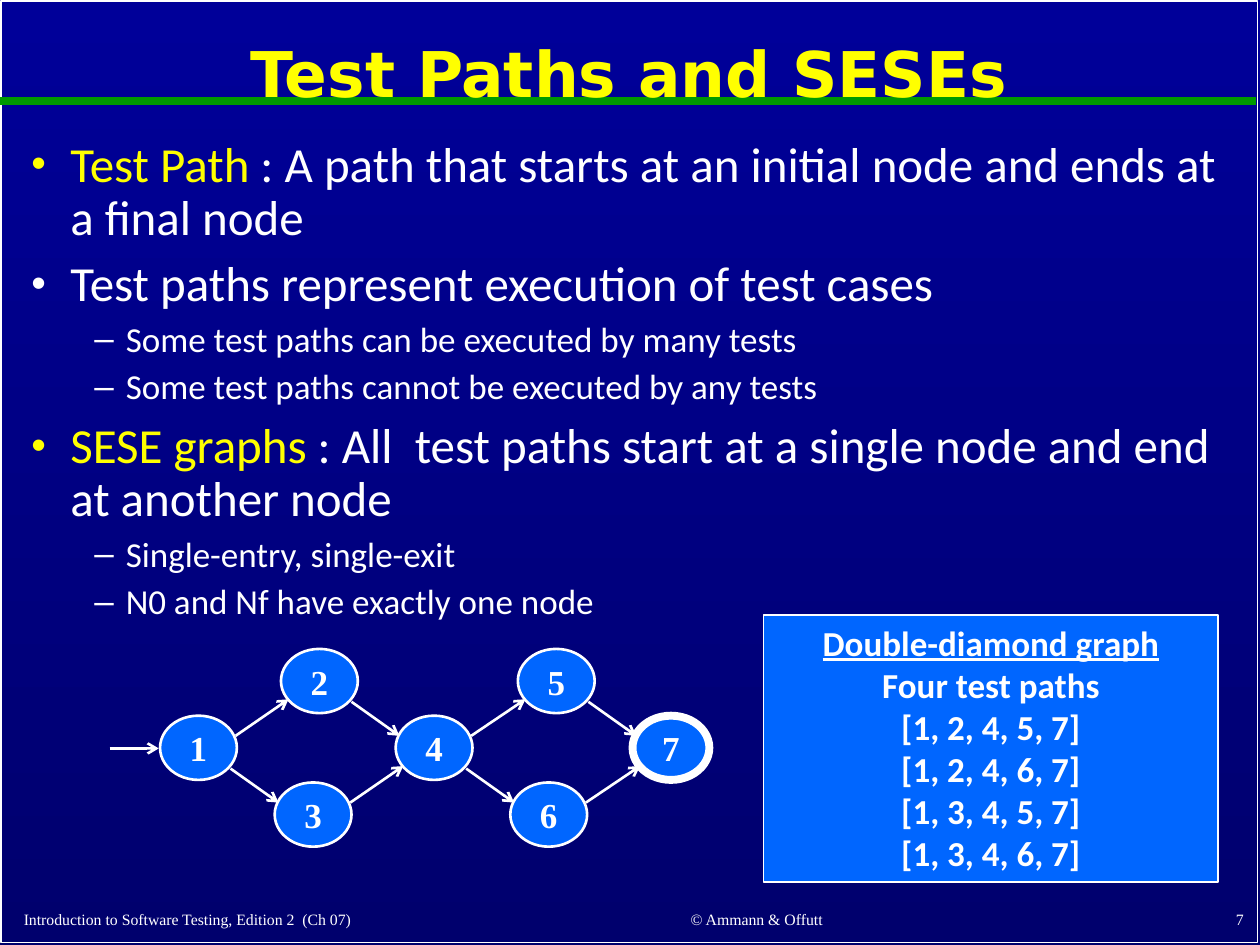
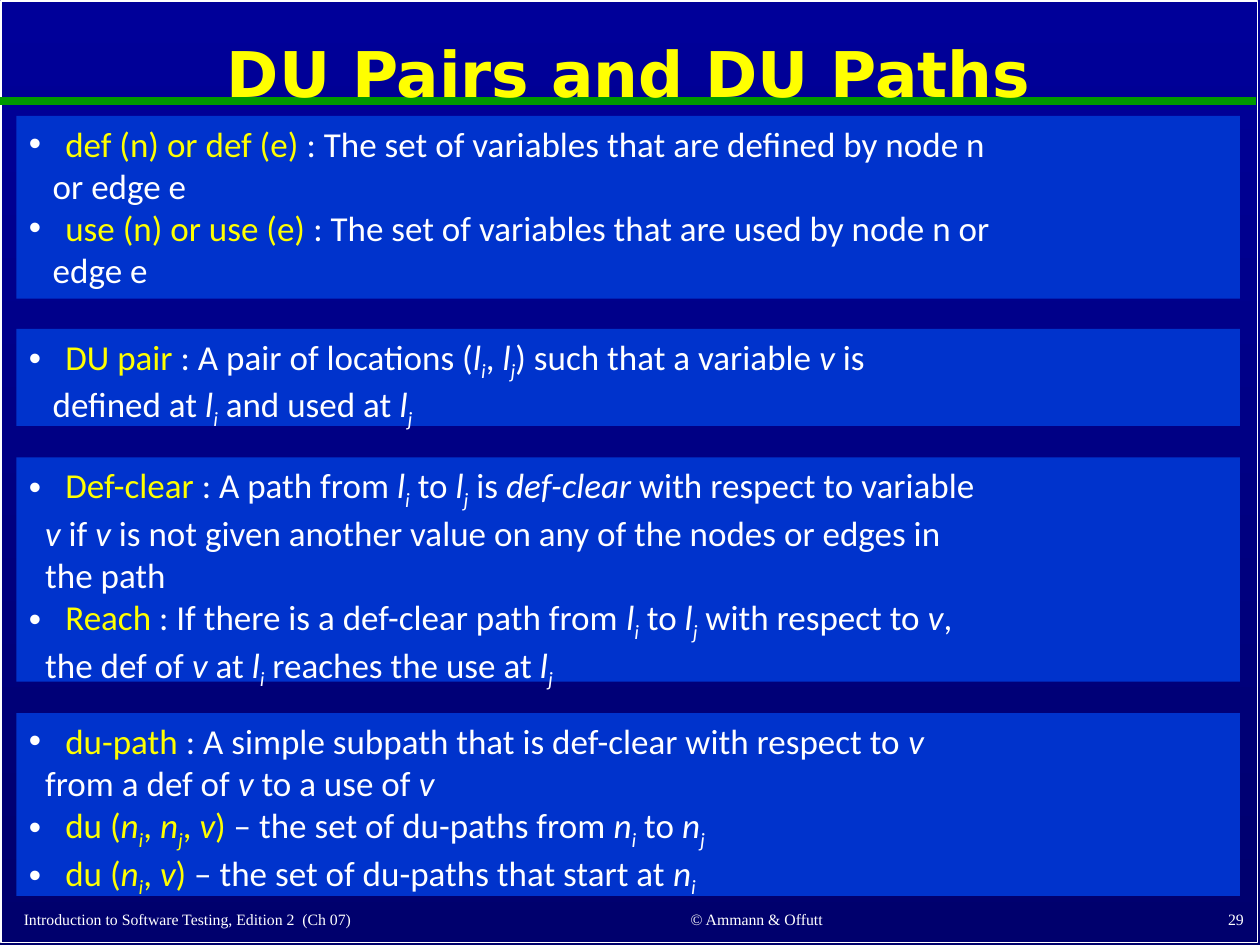
from dataclasses import dataclass, field
from typing import NamedTuple, Optional

import pptx
import pptx.dml.color
import pptx.enum.shapes
import pptx.enum.text
import pptx.oxml.ns
import pptx.oxml.xmlchemy
import pptx.util
from lxml import etree

RGBColor = pptx.dml.color.RGBColor
Shape = pptx.enum.shapes.MSO_SHAPE
Align = pptx.enum.text.PP_ALIGN
Anchor = pptx.enum.text.MSO_ANCHOR

# Scale and colours
EMU_PER_PX = 9144  # 100 px to the inch
WHITE = RGBColor(0xFF, 0xFF, 0xFF)
YELLOW = RGBColor(0xFF, 0xFF, 0x00)
GREEN = RGBColor(0x00, 0x99, 0x00)
NODE_BLUE = RGBColor(0x00, 0x66, 0xFF)
PANEL_BLUE = RGBColor(0x00, 0x33, 0xCC)
SKY_TOP = RGBColor(0x00, 0x00, 0x99)
SKY_BOTTOM = RGBColor(0x00, 0x00, 0x6D)


class Area(NamedTuple):
    left: int
    top: int
    width: int
    height: int


class Point(NamedTuple):
    x: int
    y: int


@dataclass(frozen=True)
class ParaStyle:
    font: dict
    color: RGBColor = WHITE
    format: dict = field(default_factory=dict)
    margin: int = 0
    bullet: str = ""
    bullet_size: int = 100
    bullet_color: Optional[RGBColor] = None


class Line(NamedTuple):
    text: str
    style: ParaStyle


class Panel(NamedTuple):
    top: int
    height: int
    lines: list[Line]


# Shared text styles
BODY_FONT = dict(name="Calibri", size=pptx.util.Pt(20))
TITLE = ParaStyle(dict(name="DejaVu Sans", size=pptx.util.Pt(36), bold=True), YELLOW,
                  dict(alignment=Align.CENTER, line_spacing=0.9))
FOOTER_FONT = dict(name="Times New Roman", size=pptx.util.Pt(9))
NODE = ParaStyle(dict(name="Times New Roman", size=pptx.util.Pt(20), bold=True),
                 format=dict(alignment=Align.CENTER))
POINT = ParaStyle(dict(name="Calibri", size=pptx.util.Pt(28)),
                  format=dict(line_spacing=0.9, space_before=pptx.util.Pt(8)),
                  margin=31, bullet="•", bullet_size=85)
SUBPOINT = ParaStyle(BODY_FONT,
                     format=dict(line_spacing=0.9, space_before=pptx.util.Pt(5.5)),
                     margin=75, bullet="–")
CALLOUT = ParaStyle(BODY_FONT | dict(bold=True), format=dict(alignment=Align.CENTER))
CALLOUT_HEAD = ParaStyle(CALLOUT.font | dict(underline=True), format=CALLOUT.format)
TERM = ParaStyle(BODY_FONT, margin=29, bullet="•", bullet_color=WHITE)
MORE_WIDE = ParaStyle(BODY_FONT, margin=19)
MORE = ParaStyle(BODY_FONT, margin=13)
HANG = {"•": None, "–": 25}  # None hangs by the whole margin

# Slide content; {x} is yellow, *x* italic, ~x~ subscript
PATHS_TITLE = "Test Paths and SESEs"
PATHS_BODY = [
    Line("{Test Path} : A path that starts at an initial node and ends at a final node", POINT),
    Line("Test paths represent execution of test cases", POINT),
    Line("Some test paths can be executed by many tests", SUBPOINT),
    Line("Some test paths cannot be executed by any tests", SUBPOINT),
    Line("{SESE graphs} : All  test paths start at a single node and end at another node", POINT),
    Line("Single-entry, single-exit", SUBPOINT),
    Line("N0 and Nf have exactly one node", SUBPOINT),
]
CALLOUT_LINES = [Line("Double-diamond graph", CALLOUT_HEAD)] + [
    Line(text, CALLOUT) for text in (
        "Four test paths", "[1, 2, 4, 5, 7]", "[1, 2, 4, 6, 7]",
        "[1, 3, 4, 5, 7]", "[1, 3, 4, 6, 7]")
]
NODES = {1: Point(127, 568), 2: Point(223, 515), 3: Point(218, 621), 4: Point(314, 568),
         5: Point(411, 515), 6: Point(405, 621), 7: Point(502, 568)}
EDGES = [(1, 2), (1, 3), (2, 4), (3, 4), (4, 5), (4, 6), (5, 7), (6, 7)]
FINAL_NODE = 7

DU_TITLE = "DU Pairs and DU Paths"
DU_PANELS = [
    Panel(92, 145, [
        Line("{def (n) or def (e) }: The set of variables that are defined by node n", TERM),
        Line("or edge e", MORE_WIDE),
        Line("{use (n) or use (e)} : The set of variables that are used by node n or", TERM),
        Line("edge e", MORE_WIDE),
    ]),
    Panel(261, 77, [
        Line("{DU pair} : A pair of locations (*l~i~*, *l~j~*) such that a variable *v* is", TERM),
        Line("defined at *l~i~* and used at *l~j~*", MORE_WIDE),
    ]),
    Panel(363, 178, [
        Line("{Def-clear} : A path from *l~i~* to *l~j~* is *def-clear* with respect to variable",
             TERM),
        Line("*v* if *v* is not given another value on any of the nodes or edges in", MORE),
        Line("the path", MORE),
        Line("{Reach} : If there is a def-clear path from *l~i~* to *l~j~* with respect to *v*,",
             TERM),
        Line("the def of *v* at *l~i~* reaches the use at *l~j~*", MORE),
    ]),
    Panel(566, 145, [
        Line("{du-path} : A simple subpath that is def-clear with respect to *v*", TERM),
        Line("from a def of *v* to a use of *v*", MORE),
        Line("{du (*n~i~*, *n~j~*, *v*)} – the set of du-paths from *n~i~* to *n~j~*", TERM),
        Line("{du (*n~i~*, *v*)} – the set of du-paths that start at *n~i~*", TERM),
    ]),
]


def px(length: int) -> int:
    return length * EMU_PER_PX


def set_all(target, values: dict) -> None:
    for name, value in values.items():
        setattr(target, name, value)


def add_child(parent, tag: str, **attributes: str):
    return etree.SubElement(parent, pptx.oxml.ns.qn(tag), attributes)


# Text
def add_span(para, text: str, style: ParaStyle, marks: set) -> None:
    span = para.add_run()
    span.text = text
    set_all(span.font, style.font)
    span.font.color.rgb = YELLOW if "{" in marks else style.color
    if "*" in marks:
        span.font.italic = True
    if "~" in marks:
        span._r.get_or_add_rPr().set("baseline", "-25000")


def add_marked_text(para, line: Line) -> None:
    marks: set = set()
    text = ""
    for letter in line.text:
        if letter not in "{}*~":
            text += letter
            continue
        if text:
            add_span(para, text, line.style, marks)
        text = ""
        marks ^= {"{" if letter == "}" else letter}
    if text:
        add_span(para, text, line.style, marks)


def format_para(para, style: ParaStyle) -> None:
    set_all(para, style.format)
    properties = para._p.get_or_add_pPr()
    hang = (HANG[style.bullet] or style.margin) if style.bullet else 0
    properties.set("marL", str(px(style.margin)))
    properties.set("indent", str(-px(hang)))
    if not style.bullet:
        add_child(properties, "a:buNone")
        return
    if style.bullet_color is not None:
        color = add_child(properties, "a:buClr")
        add_child(color, "a:srgbClr", val=str(style.bullet_color))
    add_child(properties, "a:buSzPct", val=str(style.bullet_size * 1000))
    add_child(properties, "a:buFont", typeface="Arial")
    add_child(properties, "a:buChar", char=style.bullet)


def write_lines(shape, lines: list[Line], anchor=Anchor.TOP) -> None:
    frame = shape.text_frame
    set_all(frame, dict(word_wrap=True, vertical_anchor=anchor))
    for number, line in enumerate(lines):
        para = frame.add_paragraph() if number else frame.paragraphs[0]
        para.alignment = Align.LEFT
        format_para(para, line.style)
        add_marked_text(para, line)


def add_text(page, area: Area, lines: list[Line], anchor=Anchor.TOP) -> None:
    box = page.shapes.add_textbox(*map(px, area))
    write_lines(box, lines, anchor)


# Shapes and lines
def add_box(page, kind, area: Area, fill: Optional[RGBColor], line_width: float = 0):
    box = page.shapes.add_shape(kind, *map(px, area))
    box.shadow.inherit = False
    if fill is None:
        box.fill.background()
    else:
        box.fill.solid()
        box.fill.fore_color.rgb = fill
    if line_width:
        box.line.color.rgb = WHITE
        box.line.width = pptx.util.Pt(line_width)
    else:
        box.line.fill.background()
    return box


def add_line(page, start: Point, end: Point, color: RGBColor, width: float, arrow: bool) -> None:
    line = page.shapes.add_connector(
        pptx.enum.shapes.MSO_CONNECTOR.STRAIGHT, *map(px, start + end))
    line.line.color.rgb = color
    line.line.width = pptx.util.Pt(width)
    if arrow:
        add_child(line.line._get_or_add_ln(), "a:tailEnd", type="arrow")
    add_child(line._element.spPr, "a:effectLst")


# Frame shared by the slides
def add_page(deck, title: str, number: int):
    page = deck.slides.add_slide(deck.slide_layouts[6])
    fill = page.background.fill
    fill.gradient()
    fill.gradient_angle = 270
    for stop, color in zip(fill.gradient_stops, (SKY_TOP, SKY_BOTTOM)):
        stop.color.rgb = color
    add_box(page, Shape.RECTANGLE, Area(1, 1, 997, 747), None, 1)
    add_line(page, Point(0, 80), Point(997, 80), GREEN, 4.5, False)
    add_text(page, Area(9, 11, 980, 100), [Line(title, TITLE)], Anchor.MIDDLE)
    footers = [
        (Area(9, 712, 412, 30), Align.LEFT, "Introduction to Software Testing, Edition 2  (Ch 07)"),
        (Area(442, 711, 317, 31), Align.CENTER, "© Ammann & Offutt"),
        (Area(789, 710, 208, 32), Align.RIGHT, str(number)),
    ]
    for area, alignment, text in footers:
        style = ParaStyle(FOOTER_FONT, format=dict(alignment=alignment))
        add_text(page, area, [Line(text, style)], Anchor.BOTTOM)
    return page


# Double-diamond graph
def add_graph(page) -> None:
    for number, corner in NODES.items():
        width = 4.5 if number == FINAL_NODE else 1.5
        node = add_box(page, Shape.OVAL, Area(*corner, 61, 51), NODE_BLUE, width)
        set_all(node.text_frame, dict.fromkeys(
            ("margin_left", "margin_right", "margin_top", "margin_bottom"), 0))
        write_lines(node, [Line(str(number), NODE)], Anchor.MIDDLE)
    add_line(page, Point(87, 594), Point(126, 594), WHITE, 1.5, True)
    for source, target in EDGES:
        tail, head = NODES[source], NODES[target]
        if head.y < tail.y:
            start, end = Point(tail.x + 60, tail.y + 16), Point(head.x + 6, head.y + 40)
        else:
            start, end = Point(tail.x + 56, tail.y + 42), Point(head.x + 3, head.y + 16)
        add_line(page, start, end, WHITE, 1.5, True)


def main() -> None:
    deck = pptx.Presentation()
    set_all(deck, dict(slide_width=px(1000), slide_height=px(750)))

    # Test paths
    page = add_page(deck, PATHS_TITLE, 7)
    add_text(page, Area(15, 106, 970, 579), PATHS_BODY)
    add_graph(page)
    callout = add_box(page, Shape.RECTANGLE, Area(606, 488, 361, 212), NODE_BLUE, 1)
    write_lines(callout, CALLOUT_LINES)

    # DU pairs
    page = add_page(deck, DU_TITLE, 29)
    for panel in DU_PANELS:
        box = add_box(page, Shape.RECTANGLE, Area(13, panel.top, 971, panel.height), PANEL_BLUE)
        write_lines(box, panel.lines)

    deck.save("out.pptx")


if __name__ == "__main__":
    main()
